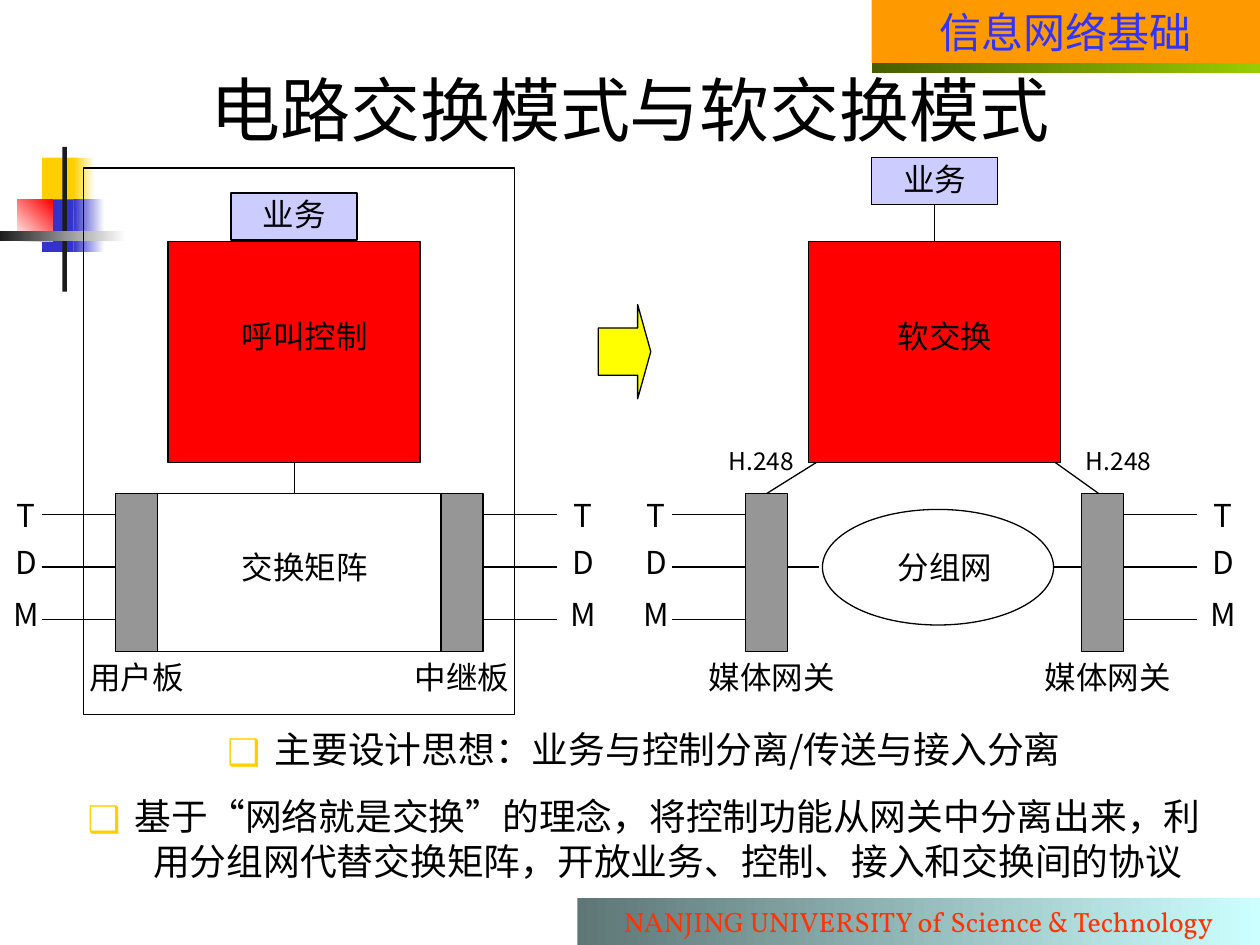
from lxml import etree
from pptx import Presentation
from pptx.dml.color import RGBColor
from pptx.enum.shapes import MSO_CONNECTOR, MSO_SHAPE
from pptx.enum.text import MSO_ANCHOR, PP_ALIGN
from pptx.oxml.ns import qn
from pptx.util import Cm, Pt

RECTANGLE = MSO_SHAPE.RECTANGLE
ELLIPSE = MSO_SHAPE.OVAL
RIGHT_ARROW = MSO_SHAPE.RIGHT_ARROW
STRAIGHT = MSO_CONNECTOR.STRAIGHT
CENTER = PP_ALIGN.CENTER
TOP = MSO_ANCHOR.TOP
MIDDLE = MSO_ANCHOR.MIDDLE

BLACK, WHITE, RED, GRAY = "000000", "FFFFFF", "FF0000", "969696"
GOLD, BLUE, CHARCOAL, LAVENDER = "FFCF01", "3333CC", "1C1C1C", "CCCCFF"


def rgb(value):
    return RGBColor.from_string(value)


class SlideBuilder:
    font = "Noto Sans CJK SC"
    line_width = 0.75
    label_size = 18

    def __init__(self, slide):
        self.slide = slide

    def shape(self, left, top, width, height, fill=None, line=BLACK, kind=RECTANGLE):
        shape = self.slide.shapes.add_shape(
            kind, Cm(left), Cm(top), Cm(width), Cm(height))
        shape.shadow.inherit = False
        if fill:
            shape.fill.solid()
            shape.fill.fore_color.rgb = rgb(fill)
        else:
            shape.fill.background()
        if line:
            shape.line.color.rgb = rgb(line)
            shape.line.width = Pt(self.line_width)
        else:
            shape.line.fill.background()
        return shape

    def gradient(self, left, top, width, height, start, end, angle=0):
        shape = self.shape(left, top, width, height, line=None)
        shape.fill.gradient()
        shape.fill.gradient_angle = angle
        for stop, color in zip(shape.fill.gradient_stops, (start, end)):
            stop.color.rgb = rgb(color)
        return shape

    def line(self, x1, y1, x2, y2):
        connector = self.slide.shapes.add_connector(
            STRAIGHT, Cm(x1), Cm(y1), Cm(x2), Cm(y2))
        connector.line.color.rgb = rgb(BLACK)
        connector.line.width = Pt(self.line_width)
        properties = connector._element.find(qn("p:spPr"))
        etree.SubElement(properties, qn("a:effectLst"))
        return connector

    def frame(self, shape, inset_x, inset_y, anchor=TOP):
        text_frame = shape.text_frame
        text_frame.word_wrap = True
        text_frame.vertical_anchor = anchor
        text_frame.margin_left = text_frame.margin_right = Cm(inset_x)
        text_frame.margin_top = text_frame.margin_bottom = Cm(inset_y)
        return text_frame

    def format_run(self, run, size, color=BLACK, font=None):
        run.font.size = Pt(size)
        run.font.color.rgb = rgb(color)
        run.font.name = font or self.font
        east_asian = etree.Element(qn("a:ea"), typeface=self.font)
        run.font._element.find(qn("a:latin")).addnext(east_asian)

    def fill_text(self, shape, text, size, color=BLACK, font=None,
                  inset=(0.25, 0.13), spacing=None, anchor=TOP):
        text_frame = self.frame(shape, *inset, anchor)
        text_frame.text = text
        paragraph = text_frame.paragraphs[0]
        paragraph.alignment = CENTER
        paragraph.line_spacing = spacing
        self.format_run(paragraph.runs[0], size, color, font)

    def text_box(self, left, top, width, height):
        return self.slide.shapes.add_textbox(
            Cm(left), Cm(top), Cm(width), Cm(height))

    def caption(self, shape, text, size=label_size):
        self.fill_text(shape, text, size, inset=(0.23, 0.1), spacing=0.95)

    def label(self, left, top, width, text, size=label_size):
        self.caption(self.text_box(left, top, width, 0.95), text, size)

    def service(self, left, top):
        shape = self.shape(left, top, 2.54, 0.95, LAVENDER)
        self.caption(shape, "业务")
        return shape

    def tdm_links(self, line_left, label_left):
        rows = zip("TDM", (10.37, 11.43, 12.49), (9.95, 10.9, 11.96))
        for letter, line_top, label_top in rows:
            self.line(line_left, line_top, line_left + 1.48, line_top)
            self.label(label_left, label_top, 1.06, letter)

    def bullets(self, left, top, width, height, items, size, gap):
        text_frame = self.frame(self.text_box(left, top, width, height), 0.25, 0.13)
        for index, pieces in enumerate(items):
            if index:
                paragraph = text_frame.add_paragraph()
                paragraph.space_before = Pt(gap)
            else:
                paragraph = text_frame.paragraphs[0]
            paragraph.alignment = CENTER
            properties = paragraph._p.get_or_add_pPr()
            properties.set("marL", str(Cm(0.95)))
            properties.set("indent", str(-Cm(0.95)))
            bullet_color = etree.SubElement(properties, qn("a:buClr"))
            etree.SubElement(bullet_color, qn("a:srgbClr"), val=GOLD)
            etree.SubElement(properties, qn("a:buFont"), typeface=self.font)
            etree.SubElement(properties, qn("a:buChar"), char="❑")
            for piece in pieces:
                run = paragraph.add_run()
                run.text = piece
                self.format_run(run, size, font="Arial" if piece in "“”" else None)


def draw_template(builder):
    builder.shape(0.85, 3.18, 0.74, 0.97, GOLD, None)
    builder.gradient(1.48, 3.18, 0.43, 1.06, GOLD, WHITE)
    builder.shape(0.85, 4.02, 0.63, 1.06, BLUE, None)
    builder.gradient(1.48, 4.02, 0.63, 1.06, BLUE, WHITE)
    builder.gradient(0.35, 4.02, 0.71, 0.85, WHITE, RED, 45)
    builder.shape(1.26, 2.96, 0.09, 2.92, CHARCOAL, None)
    builder.gradient(0, 4.66, 2.54, 0.2, CHARCOAL, WHITE)
    course = builder.shape(17.57, 0, 7.83, 1.27, "FF9900", None)
    builder.fill_text(course, "信息网络基础", 24, "3333FF", "Roboto")
    university = builder.gradient(11.64, 18.11, 13.76, 0.94, "5E7676", "CCFFFF")
    builder.fill_text(university, "NANJING UNIVERSITY of Science & Technology",
                      16, "FF3300", "Vollkorn")
    builder.gradient(17.57, 1.27, 7.83, 0.2, "475E00", "99CC00")
    title = builder.text_box(2.75, 0.92, 19.9, 2.54)
    builder.fill_text(title, "电路交换模式与软交换模式", 40, anchor=MIDDLE)


def draw_circuit_switching(builder):
    builder.service(4.66, 3.89)
    call_control = builder.shape(3.39, 4.87, 5.08, 4.45, RED)
    for left in (2.33, 8.89):
        builder.shape(left, 9.95, 0.85, 3.18, GRAY)
    builder.shape(3.18, 9.95, 5.71, 3.18, WHITE)
    builder.shape(1.69, 3.39, 8.68, 11.01)
    builder.line(5.93, 9.32, 5.93, 9.95).begin_connect(call_control, 2)
    builder.tdm_links(0.85, 0)
    builder.tdm_links(9.74, 11.22)
    builder.label(1.48, 13.23, 2.54, "用户板")
    builder.label(8.04, 13.23, 2.54, "中继板")
    builder.label(4.45, 11.01, 3.39, "交换矩阵")
    builder.label(4.45, 6.35, 3.39, "呼叫控制")


def draw_soft_switching(builder):
    builder.line(16.51, 11.43, 15.88, 11.43)
    builder.line(22.01, 11.43, 21.17, 11.43)
    builder.shape(16.58, 10.27, 4.66, 2.33, WHITE, kind=ELLIPSE)
    left_gateway, _ = [builder.shape(left, 9.95, 0.85, 3.18, GRAY)
                       for left in (15.03, 21.8)]
    builder.line(17.15, 8.89, 15.45, 9.95).end_connect(left_gateway, 0)
    builder.line(20.96, 9.1, 22.15, 9.95)
    soft_switch = builder.shape(16.3, 4.87, 5.08, 4.45, RED)
    service = builder.service(17.57, 3.18)
    link = builder.line(18.84, 4.13, 18.84, 4.87)
    link.begin_connect(service, 2)
    link.end_connect(soft_switch, 0)
    builder.tdm_links(13.55, 12.7)
    builder.tdm_links(22.65, 24.13)
    for gateway_left, protocol_left in ((13.97, 13.76), (20.74, 20.96)):
        builder.label(gateway_left, 13.23, 3.18, "媒体网关")
        builder.label(protocol_left, 8.94, 3.18, "H.248", 14)
    builder.label(17.36, 11.01, 3.39, "分组网")
    builder.label(17.36, 6.35, 3.39, "软交换")


def main():
    presentation = Presentation()
    presentation.slide_width = Cm(25.4)
    presentation.slide_height = Cm(19.05)
    slide = presentation.slides.add_slide(presentation.slide_layouts[6])
    builder = SlideBuilder(slide)
    draw_template(builder)
    draw_circuit_switching(builder)
    draw_soft_switching(builder)
    arrow = builder.shape(12.06, 6.14, 1.06, 1.9, "FFFF00", kind=RIGHT_ARROW)
    arrow.adjustments[0] = 0.5
    arrow.adjustments[1] = 0.25
    builder.bullets(1.3, 14.53, 23.37, 3.53, [
        ["主要设计思想：业务与控制分离/传送与接入分离"],
        ["基于", "“", "网络就是交换", "”",
         "的理念，将控制功能从网关中分离出来，利用分组网代替交换矩阵，"
         "开放业务、控制、接入和交换间的协议"],
    ], 21, 13.1)
    presentation.save("out.pptx")


if __name__ == "__main__":
    main()
